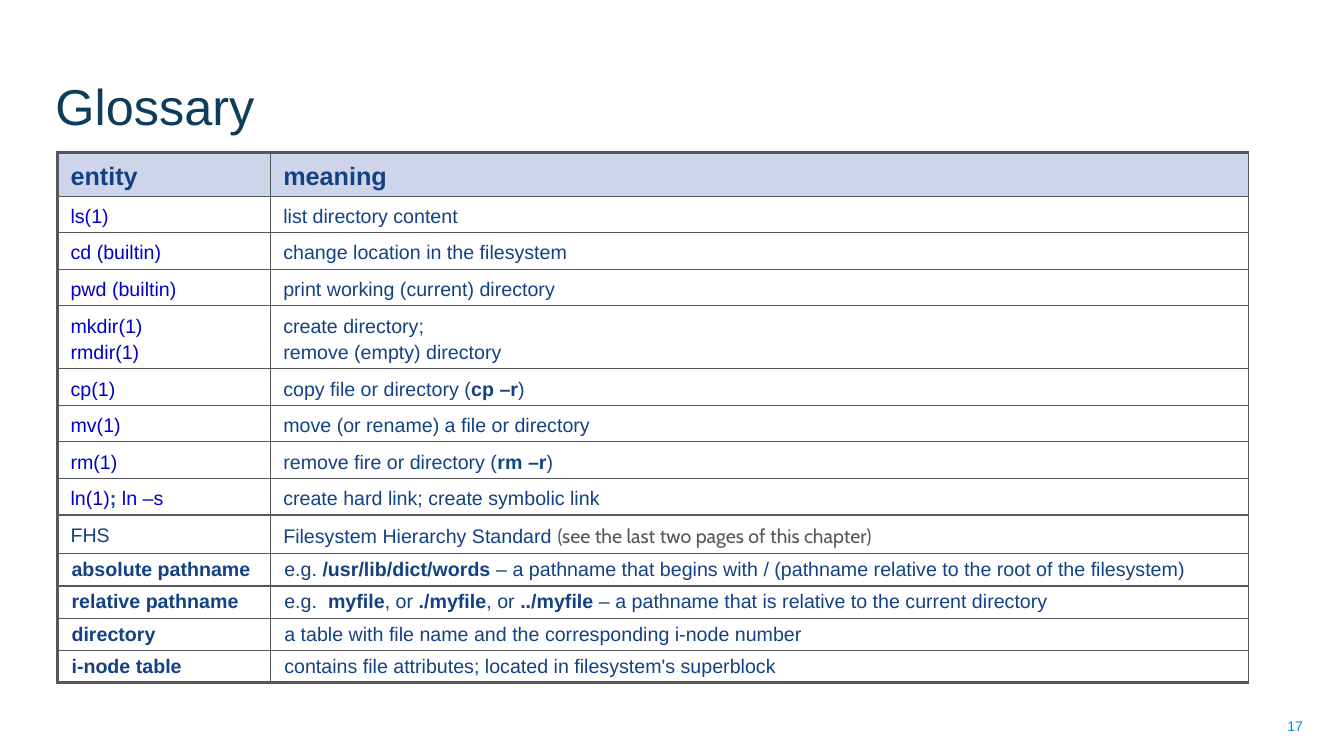
import pptx
import pptx.util
import pptx.dml.color
import pptx.enum.text
import pptx.oxml
import pptx.oxml.ns
from lxml import etree

Inches, Pt = pptx.util.Inches, pptx.util.Pt
RGBColor = pptx.dml.color.RGBColor
PP_ALIGN, MSO_ANCHOR = pptx.enum.text.PP_ALIGN, pptx.enum.text.MSO_ANCHOR
qn = pptx.oxml.ns.qn

NAVY = RGBColor(0x13, 0x41, 0x83)
LINK = RGBColor(0x00, 0x00, 0xC8)
GREY = RGBColor(0x56, 0x57, 0x59)
HEAD_FILL = RGBColor(0xCE, 0xD5, 0xEA)
TITLE = RGBColor(0x0D, 0x3D, 0x59)
PAGE = RGBColor(0x00, 0x8F, 0xD0)

# Content: each cell is a list of (text, style) runs
STYLES = {  # style: (colour, bold, font)
    "text": (NAVY, False, "Arial"),
    "bold": (NAVY, True, "Arial"),
    "link": (LINK, False, "Arial"),
    "note": (GREY, False, "Cabin"),
}
HEADER = [([("entity", "bold")], [("meaning", "bold")])]
COMMANDS = [
    ([("ls(1)", "link")], [("list directory content", "text")]),
    ([("cd (builtin)", "link")], [("change location in the filesystem", "text")]),
    ([("pwd (builtin)", "link")], [("print working (current) directory", "text")]),
    ([("mkdir(1)\nrmdir(1)", "link")],
     [("create directory; \nremove (empty) directory", "text")]),
    ([("cp(1)", "link")],
     [("copy file or directory (", "text"), ("cp –r", "bold"), (")", "text")]),
    ([("mv(1)", "link")], [("move (or rename) a file or directory", "text")]),
    ([("rm(1)", "link")],
     [("remove fire or directory (", "text"), ("rm –r", "bold"), (")", "text")]),
    ([("ln(1)", "link"), ("; ", "bold"), ("ln –s", "link")],
     [("create hard link; create symbolic link", "text")]),
    ([("FHS", "text")],
     [("Filesystem Hierarchy Standard ", "text"),
      ("(see the last two pages of this chapter)", "note")]),
]
TERMS = [
    ([("absolute pathname", "bold")],
     [("e.g. ", "text"), ("/usr/lib/dict/words", "bold"),
      (" – a pathname that begins with / (pathname relative to the root"
       " of the filesystem)", "text")]),
    ([("relative pathname", "bold")],
     [("e.g.  ", "text"), ("myfile", "bold"), (", or ", "text"),
      ("./myfile", "bold"), (", or ", "text"), ("../myfile", "bold"),
      (" – a pathname that is relative to the current directory", "text")]),
    ([("directory", "bold")],
     [("a table with file name and the corresponding i-node number", "text")]),
    ([("i-node table", "bold")],
     [("contains file attributes; located in filesystem's superblock", "text")]),
]
# Row groups: rows, text size, line spacing, side inset, row height
GROUPS = [
    (HEADER, 18, 1.2, 0.13, 0.43),
    (COMMANDS, 14, 1.2, 0.13, 0.36),
    (TERMS, 14, None, 0.14, 0.32),
]
COL_WIDTHS = [2.11, 9.7]
THIN, THICK = 1, 2.25


def add_run(p, text, size, color, bold=False, font="Arial"):
    r = p.add_run()
    r.text = text
    r.font.size, r.font.bold, r.font.name = Pt(size), bold, font
    r.font.color.rgb = color


def set_border(cell, side, width):
    ln = etree.Element(qn("a:" + side), w=str(Pt(width)))
    fill = etree.SubElement(ln, qn("a:solidFill"))
    etree.SubElement(fill, qn("a:srgbClr"), val=str(GREY))
    return ln


def fill_cell(cell, runs, size, spacing, inset):
    cell.margin_left = cell.margin_right = Inches(inset)
    cell.margin_top = cell.margin_bottom = Inches(0.05)
    p = cell.text_frame.paragraphs[0]
    if spacing:
        p.line_spacing = spacing
    # Space before as a share of the line height
    before = etree.SubElement(p._p.get_or_add_pPr(), qn("a:spcBef"))
    etree.SubElement(before, qn("a:spcPct"), val="60000")
    for text, style in runs:
        for i, line in enumerate(text.split("\n")):
            if i:
                p.add_line_break()
            add_run(p, line, size, *STYLES[style])


def main():
    prs = pptx.Presentation()
    prs.slide_width, prs.slide_height = Inches(13.33), Inches(7.5)
    slide = prs.slides.add_slide(prs.slide_layouts[5])

    # Title
    sp = slide.shapes.title
    sp.left, sp.top, sp.width, sp.height = map(Inches, (0.45, 0.14, 9.98, 1.26))
    tf = sp.text_frame
    tf.vertical_anchor = MSO_ANCHOR.BOTTOM
    p = tf.paragraphs[0]
    p.alignment = PP_ALIGN.LEFT
    add_run(p, "Glossary", 36, TITLE)

    # Glossary table
    rows = [(row, *look) for group, *look in GROUPS for row in group]
    last = len(rows) - 1
    frame = slide.shapes.add_table(len(rows), 2, Inches(0.57), Inches(1.51),
                                   Inches(sum(COL_WIDTHS)), Inches(5.23))
    table = frame.table
    for col, width in zip(table.columns, COL_WIDTHS):
        col.width = Inches(width)
    for i, (row, size, spacing, inset, height) in enumerate(rows):
        lines = row[0][0][0].count("\n") + 1
        table.rows[i].height = Inches(height + 0.26 * (lines - 1))
        for j, runs in enumerate(row):
            cell = table.cell(i, j)
            fill_cell(cell, runs, size, spacing, inset)
            borders = [("lnL", THIN if j else THICK), ("lnR", THIN),
                       ("lnT", THIN if i else THICK),
                       ("lnB", THICK if i == last else THIN)]
            tcPr = cell._tc.get_or_add_tcPr()
            for side, width in borders:
                tcPr.append(set_border(cell, side, width))
            if i:
                cell.fill.background()
            else:
                cell.fill.solid()
                cell.fill.fore_color.rgb = HEAD_FILL

    # Page number
    sp = slide.shapes.add_textbox(*map(Inches, (9.91, 7, 3.11, 0.4)))
    tf = sp.text_frame
    tf.word_wrap = True
    tf.vertical_anchor = MSO_ANCHOR.MIDDLE
    p = tf.paragraphs[0]
    p.alignment = PP_ALIGN.RIGHT
    add_run(p, "17", 10, PAGE)

    prs.save("out.pptx")


if __name__ == "__main__":
    main()
